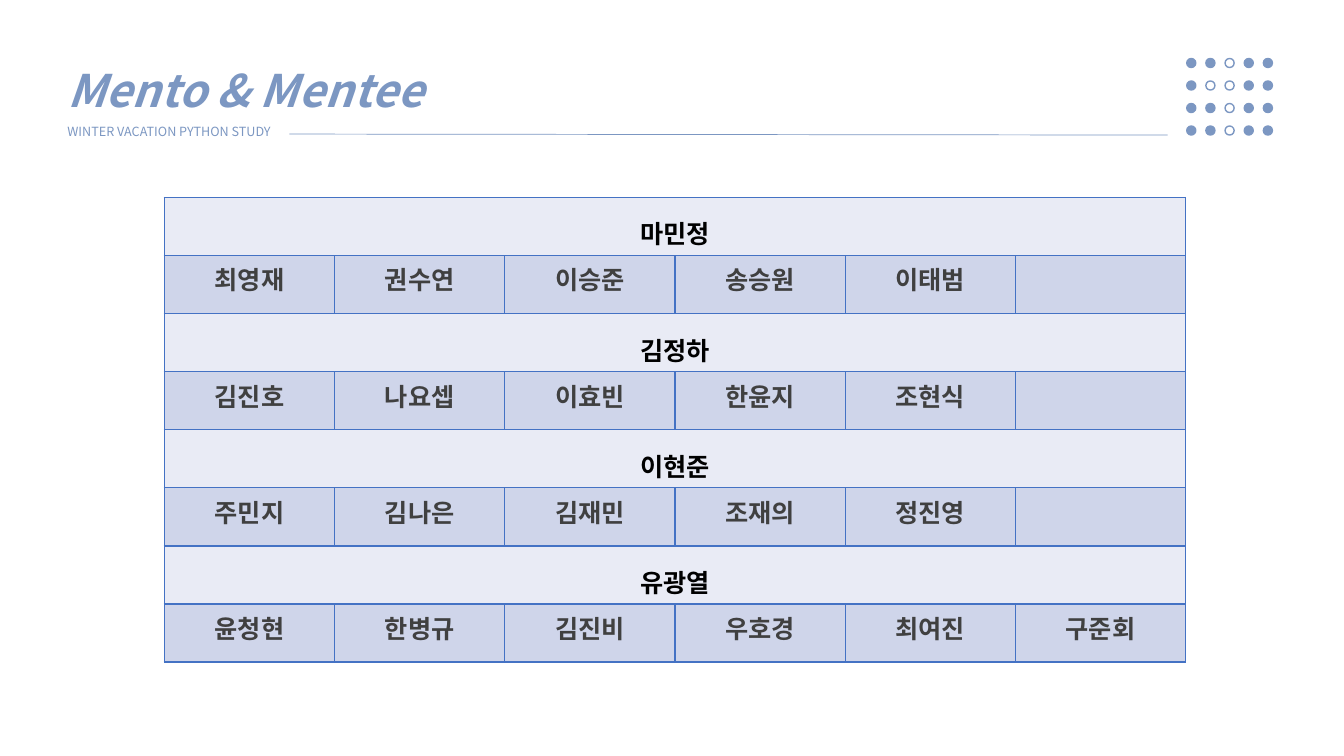
from dataclasses import dataclass

from lxml.etree import SubElement
from pptx import Presentation
from pptx.dml.color import RGBColor
from pptx.enum.shapes import MSO_CONNECTOR, MSO_SHAPE
from pptx.enum.text import MSO_AUTO_SIZE, PP_ALIGN
from pptx.oxml import parse_xml
from pptx.oxml.ns import nsdecls, qn
from pptx.slide import Slide
from pptx.table import _Cell
from pptx.text.text import _Paragraph
from pptx.util import Inches, Pt

FONT = "Noto Sans CJK KR"
BLUE = RGBColor(0x7C, 0x97, 0xC2)
BORDER = RGBColor(0x44, 0x72, 0xC4)
MENTOR_FILL = RGBColor(0xE9, 0xEB, 0xF5)
MEMBER_FILL = RGBColor(0xCF, 0xD5, 0xEA)
BLACK = RGBColor(0x00, 0x00, 0x00)
GRAY = RGBColor(0x40, 0x40, 0x40)

COLUMNS = 6
COLUMN_WIDTH = 10.13 / COLUMNS
ROW_HEIGHT = 4.61 / 8
DOT_ROWS = ("●●○●●", "●○○●●", "●●○●●", "●●○●●")
DOT_SIZE = 0.09
DOT_STEP_X = 0.19
DOT_STEP_Y = 0.67 / 3


@dataclass(frozen=True)
class Team:
    mentor: str
    members: tuple[str, ...]


TEAMS = (
    Team("마민정", ("최영재", "권수연", "이승준", "송승원", "이태범")),
    Team("김정하", ("김진호", "나요셉", "이효빈", "한윤지", "조현식")),
    Team("이현준", ("주민지", "김나은", "김재민", "조재의", "정진영")),
    Team("유광열", ("윤청현", "한병규", "김진비", "우호경", "최여진", "구준회")),
)


def add_span(para: _Paragraph, text: str, size: float, color: RGBColor,
             bold: bool = False, italic: bool = False) -> None:
    span = para.add_run()
    span.text = text
    font = span.font
    font.size, font.bold, font.italic = Pt(size), bold, italic
    font.color.rgb = color
    font.name = FONT
    SubElement(span._r.get_or_add_rPr(), qn("a:ea"), typeface=FONT)


def add_heading(page: Slide) -> None:
    box = page.shapes.add_textbox(Inches(0.57), Inches(0.31), Inches(6.28), Inches(1.14))
    frame = box.text_frame
    frame.word_wrap = True
    frame.auto_size = MSO_AUTO_SIZE.SHAPE_TO_FIT_TEXT
    title, subtitle = frame.paragraphs[0], frame.add_paragraph()
    title.line_spacing = subtitle.line_spacing = 1.5
    add_span(title, "Mento & Mentee", 32, BLUE, bold=True, italic=True)
    add_span(subtitle, "WINTER VACATION PYTHON STUDY", 9, BLUE)


def add_rule(page: Slide) -> None:
    rule = page.shapes.add_connector(
        MSO_CONNECTOR.STRAIGHT, Inches(2.87), Inches(1.33), Inches(11.58), Inches(1.34))
    rule.line.color.rgb = BLUE
    rule.line.width = Pt(0.5)
    SubElement(rule._element.spPr, qn("a:effectLst"))


def add_dots(page: Slide) -> None:
    for row, marks in enumerate(DOT_ROWS):
        for column, mark in enumerate(marks):
            dot = page.shapes.add_shape(
                MSO_SHAPE.OVAL, Inches(11.77 + column * DOT_STEP_X),
                Inches(0.58 + row * DOT_STEP_Y), Inches(DOT_SIZE), Inches(DOT_SIZE))
            dot.shadow.inherit = False
            dot.line.color.rgb = BLUE
            dot.line.width = Pt(1)
            if mark == "●":
                dot.fill.solid()
                dot.fill.fore_color.rgb = BLUE
            else:
                dot.fill.background()


def style_cell(cell: _Cell, fill: RGBColor) -> None:
    cell.fill.solid()
    cell.fill.fore_color.rgb = fill
    properties = cell._tc.get_or_add_tcPr()
    for position, side in enumerate("LRTB"):
        properties.insert(position, parse_xml(
            f'<a:ln{side} {nsdecls("a")} w="{Pt(1)}"><a:solidFill>'
            f'<a:srgbClr val="{BORDER}"/></a:solidFill></a:ln{side}>'))


def write_name(cell: _Cell, name: str, color: RGBColor) -> None:
    para = cell.text_frame.paragraphs[0]
    para.alignment = PP_ALIGN.CENTER
    add_span(para, name, 18, color, bold=True)


def add_team_table(page: Slide) -> None:
    rows = 2 * len(TEAMS)
    table = page.shapes.add_table(
        rows, COLUMNS, Inches(1.63), Inches(1.96),
        Inches(COLUMNS * COLUMN_WIDTH), Inches(rows * ROW_HEIGHT)).table
    table.first_row = table.horz_banding = False
    for column in table.columns:
        column.width = Inches(COLUMN_WIDTH)
    for row in table.rows:
        row.height = Inches(ROW_HEIGHT)
    for index, team in enumerate(TEAMS):
        top = 2 * index
        for column in range(COLUMNS):
            style_cell(table.cell(top, column), MENTOR_FILL)
            style_cell(table.cell(top + 1, column), MEMBER_FILL)
        mentor = table.cell(top, 0)
        mentor.merge(table.cell(top, COLUMNS - 1))
        mentor.margin_top, mentor.margin_bottom = Inches(0.17), Inches(0.03)
        write_name(mentor, team.mentor, BLACK)
        for column, member in enumerate(team.members):
            write_name(table.cell(top + 1, column), member, GRAY)


def main() -> None:
    deck = Presentation()
    deck.slide_width, deck.slide_height = Inches(13.33), Inches(7.5)
    page = deck.slides.add_slide(deck.slide_layouts[6])
    add_heading(page)
    add_rule(page)
    add_dots(page)
    add_team_table(page)
    deck.save("out.pptx")


if __name__ == "__main__":
    main()
